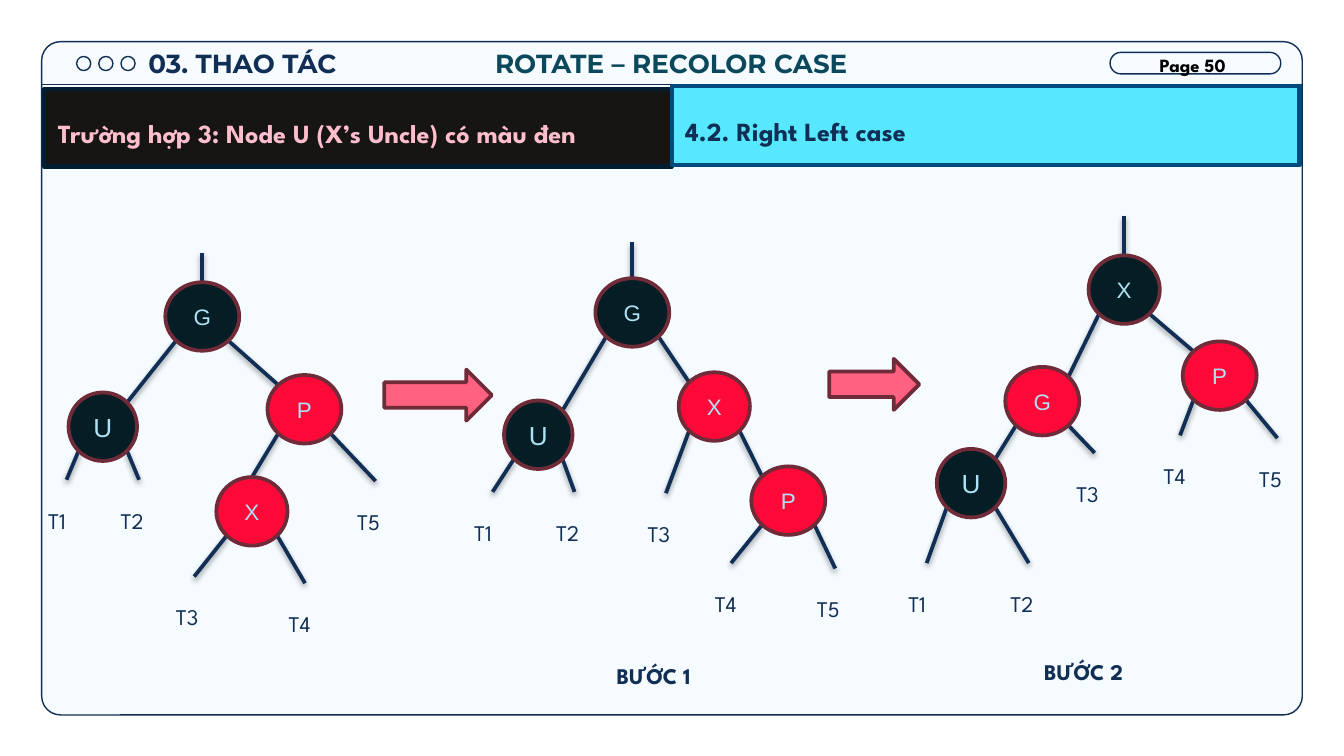
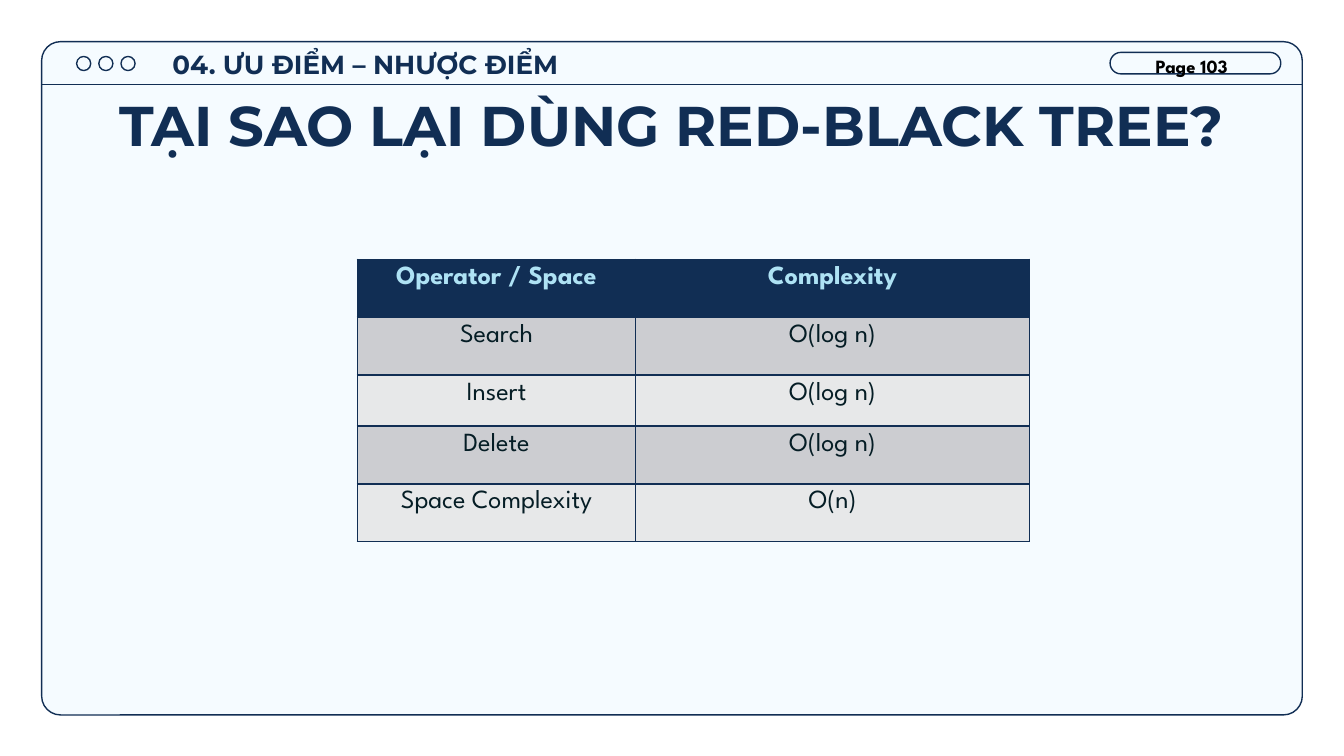
"""Build two slides on red-black trees: a rotation case and a complexity table."""
import math
from dataclasses import dataclass
from typing import Any, NamedTuple, Optional

import lxml.etree
import pptx
import pptx.dml.color
import pptx.enum.shapes
import pptx.enum.text
import pptx.oxml
import pptx.oxml.ns
import pptx.util

RGBColor = pptx.dml.color.RGBColor
SHAPE = pptx.enum.shapes.MSO_SHAPE
ALIGN = pptx.enum.text.PP_ALIGN
ANCHOR = pptx.enum.text.MSO_ANCHOR
Pt = pptx.util.Pt

WIDTH = pptx.util.Inches(10)
HEIGHT = pptx.util.Inches(5.625)
COLUMN = WIDTH / 100
ROW = HEIGHT / 56.25

NAVY = RGBColor(0x11, 0x2E, 0x54)
PALE = RGBColor(0xF5, 0xFB, 0xFF)
WHITE = RGBColor(0xFF, 0xFF, 0xFF)
BLACK = RGBColor(0x00, 0x00, 0x00)
TEAL = RGBColor(0x0C, 0x48, 0x5C)
COAL = RGBColor(0x16, 0x15, 0x14)
COAL_EDGE = RGBColor(0x00, 0x1E, 0x32)
ROSE = RGBColor(0xFF, 0xBE, 0xCB)
CYAN = RGBColor(0x57, 0xE8, 0xFF)
CYAN_EDGE = RGBColor(0x00, 0x4B, 0x7D)
PINK = RGBColor(0xFF, 0x61, 0x80)
MAROON = RGBColor(0x70, 0x2B, 0x38)
NODE_BLACK = RGBColor(0x05, 0x1D, 0x25)
NODE_RED = RGBColor(0xFF, 0x09, 0x39)
SKY = RGBColor(0xAE, 0xE2, 0xF4)
STRIPES = (RGBColor(0xCC, 0xCD, 0xD1), RGBColor(0xE7, 0xE8, 0xE9))

TITLE_FONT = "Montserrat"
BODY_FONT = "League Spartan"
NODE_FONT = "Arial"
NODE_WIDTHS = {"U": 5.1, "G": 5.5, "P": 5.5, "X": 5.3}
NODE_HEIGHT = 5.1
DIAGONAL = math.sqrt(0.5)


class Area(NamedTuple):
    """A rectangle in grid columns and rows."""
    left: float
    top: float
    width: float
    height: float


class Point(NamedTuple):
    """A place in grid columns and rows."""
    x: float
    y: float


@dataclass(frozen=True)
class Leaf:
    """A subtree label hung below a node."""
    text: str
    left: float
    top: float
    width: float = 4.7

    def joint(self, side: int) -> Point:
        """Return where the edge from the parent ends."""
        return Point(self.left + self.width / 2, self.top)


@dataclass(frozen=True)
class Node:
    """A tree node with its left and right children."""
    text: str
    left: float
    top: float
    fill: RGBColor
    children: tuple
    top_joint: bool = False

    def area(self) -> Area:
        """Return the rectangle around the node."""
        return Area(self.left, self.top, NODE_WIDTHS[self.text], NODE_HEIGHT)

    def rim(self, across: float, down: float) -> Point:
        """Return a rim point given as shares of the two radii."""
        half_width, half_height = NODE_WIDTHS[self.text] / 2, NODE_HEIGHT / 2
        return Point(self.left + half_width * (1 + across), self.top + half_height * (1 + down))

    def joint(self, side: int) -> Point:
        """Return where the edge from the parent ends."""
        return self.rim(0, -1) if self.top_joint else self.rim(-side * DIAGONAL, -DIAGONAL)


class Tree(NamedTuple):
    """A root node and the length of the stem above it."""
    root: Node
    stem: float


TREES = (
    Tree(Node("G", 12.3, 21, NODE_BLACK, (
        Node("U", 5.1, 29.2, NODE_BLACK, (Leaf("T1", 2.6, 35.7), Leaf("T2", 8, 35.7))),
        Node("P", 19.9, 27.9, NODE_RED, (
            Node("X", 16.1, 35.5, NODE_RED,
                 (Leaf("T3", 12.1, 42.9), Leaf("T4", 20.5, 43.4, 4.4)), top_joint=True),
            Leaf("T5", 25.6, 35.8))))), 2.2),
    Tree(Node("G", 44.3, 20.7, NODE_BLACK, (
        Node("U", 37.5, 29.8, NODE_BLACK, (Leaf("T1", 34.3, 36.6), Leaf("T2", 40.4, 36.6))),
        Node("X", 50.5, 27.7, NODE_RED, (
            Leaf("T3", 47.2, 36.7),
            Node("P", 55.9, 34.7, NODE_RED,
                 (Leaf("T4", 52.2, 41.9, 4.4), Leaf("T5", 59.8, 42.3))))))), 2.7),
    Tree(Node("X", 81, 19, NODE_BLACK, (
        Node("G", 74.8, 27.3, NODE_RED, (
            Node("U", 69.7, 33.4, NODE_BLACK, (Leaf("T1", 66.6, 41.9), Leaf("T2", 74.2, 41.9))),
            Leaf("T3", 79.1, 33.7))),
        Node("P", 88, 25.4, NODE_RED,
             (Leaf("T4", 85.6, 32.4, 4.4), Leaf("T5", 92.7, 32.6))))), 2.9),
)
ARROWS = (Area(28.6, 27.5, 8, 3.8), Area(61.7, 26.7, 6.7, 3.8))
STEPS = (("BƯỚC 1", Area(44.9, 47.3, 9.9, 5.1)), ("BƯỚC 2", Area(76.7, 47, 9.4, 5.1)))
COMPLEXITY = (
    ("Operator / Space", "Complexity"),
    ("Search", "O(log n)"),
    ("Insert", "O(log n)"),
    ("Delete", "O(log n)"),
    ("Space Complexity", "O(n)"),
)
TABLE_COLUMNS = (20.7, 29.3)
TABLE_ROWS = (4.3, 4.3, 3.8, 4.3, 4.3)


def across(columns: float) -> int:
    """Turn grid columns into a length."""
    return pptx.util.Emu(round(columns * COLUMN))


def down(rows: float) -> int:
    """Turn grid rows into a length."""
    return pptx.util.Emu(round(rows * ROW))


def place(area: Area) -> tuple:
    """Turn a grid area into left, top, width and height."""
    return across(area.left), down(area.top), across(area.width), down(area.height)


def write(frame: Any, text: str, *, size: float, font: str = BODY_FONT, color: RGBColor = NAVY,
          bold: bool = False, align: Any = ALIGN.LEFT, anchor: Any = ANCHOR.TOP,
          spacing: float = 1.0, inset: Optional[float] = 1) -> None:
    """Fill a text frame with one formatted paragraph; inset is in rows."""
    frame.word_wrap = True
    frame.auto_size = pptx.enum.text.MSO_AUTO_SIZE.NONE
    frame.vertical_anchor = anchor
    frame.margin_left = frame.margin_right = across(1)
    frame.margin_top = frame.margin_bottom = down(inset)
    write_paragraph(frame.paragraphs[0], text, size, font, color, bold, align, spacing)


def write_paragraph(para: Any, text: str, size: float, font: str, color: RGBColor,
                    bold: bool, align: Any, spacing: float = 1.0) -> None:
    """Put one formatted span in a paragraph."""
    para.alignment = align
    para.line_spacing = spacing
    para.space_before = Pt(0)
    span = para.add_run()
    span.text = text
    span.font.name, span.font.size, span.font.bold = font, Pt(size), bold
    span.font.color.rgb = color


def paint(shape: Any, fill: Optional[RGBColor], edge: RGBColor, weight: float) -> None:
    """Set the fill and outline of a shape."""
    if fill is None:
        shape.fill.background()
    else:
        shape.fill.solid()
        shape.fill.fore_color.rgb = fill
    shape.line.color.rgb = edge
    shape.line.width = Pt(weight)


def add_shape(page: Any, kind: Any, area: Area, fill: Optional[RGBColor],
              edge: RGBColor, weight: float) -> Any:
    """Draw a flat preset shape."""
    shape = page.shapes.add_shape(kind, *place(area))
    shape.shadow.inherit = False
    paint(shape, fill, edge, weight)
    return shape


def add_text(page: Any, text: str, area: Area, **style: Any) -> None:
    """Draw a text box."""
    write(page.shapes.add_textbox(*place(area)).text_frame, text, **style)


def fill_placeholder(box: Any, text: str, area: Area, **style: Any) -> None:
    """Move a placeholder and write in it."""
    box.left, box.top, box.width, box.height = place(area)
    write(box.text_frame, text, **style)


def add_line(page: Any, start: Point, end: Point, weight: float, shadow: bool = False) -> Any:
    """Draw a straight navy line, with a soft shadow on request."""
    line = page.shapes.add_connector(
        pptx.enum.shapes.MSO_CONNECTOR.STRAIGHT,
        across(start.x), down(start.y), across(end.x), down(end.y))
    line.line.color.rgb = NAVY
    line.line.width = Pt(weight)
    qn = pptx.oxml.ns.qn
    effects = lxml.etree.SubElement(line.element.spPr, qn("a:effectLst"))
    if shadow:
        outer = lxml.etree.SubElement(effects, qn("a:outerShdw"), blurRad=str(Pt(3.1)),
                                      dist=str(Pt(1.6)), dir="5400000", rotWithShape="0")
        color = lxml.etree.SubElement(outer, qn("a:srgbClr"), val=str(BLACK))
        lxml.etree.SubElement(color, qn("a:alpha"), val="38000")
    return line


def add_frame(deck: Any, page: Any) -> None:
    """Draw the window frame and hand it to the slide master."""
    parts = [add_shape(page, SHAPE.ROUNDED_RECTANGLE, Area(3.1, 3.1, 93.8, 50.1), PALE, NAVY, 0.75)]
    parts[0].adjustments[0] = 0.028
    parts += [add_shape(page, SHAPE.OVAL, Area(5.7 + 1.65 * index, 4.2, 1.05, 1.05), None, NAVY, 0.75)
              for index in range(3)]
    pill = add_shape(page, SHAPE.ROUNDED_RECTANGLE, Area(82.6, 3.9, 12.7, 1.6), None, NAVY, 0.75)
    pill.adjustments[0] = 0.5
    parts += [pill, add_line(page, Point(3.1, 6.3), Point(96.9, 6.3), 0.75)]
    for number, part in enumerate(parts, start=20):
        part.element.xpath(".//p:cNvPr")[0].set("id", str(number))
        deck.slide_master.shapes.element.append(part.element)


def add_header(page: Any, heading: str, area: Area, number: str, number_area: Area) -> None:
    """Write the section heading and the page number."""
    add_text(page, heading, area, size=14, font=TITLE_FONT, bold=True, align=ALIGN.CENTER)
    add_text(page, number, number_area, size=10, color=BLACK, bold=True, inset=0.5)


def add_branch(page: Any, item: Any) -> None:
    """Draw a node or leaf with everything below it."""
    if isinstance(item, Leaf):
        add_text(page, item.text, Area(item.left, item.top, item.width, 4.4), size=12, spacing=1.5)
        return
    for side, child in zip((-1, 1), item.children):
        add_line(page, item.rim(side * DIAGONAL, DIAGONAL), child.joint(side), 2, shadow=True)
        add_branch(page, child)
    node = add_shape(page, SHAPE.FLOWCHART_CONNECTOR, item.area(), item.fill, MAROON, 2)
    write(node.text_frame, item.text, size=14 if item.text == "U" else 12, font=NODE_FONT,
          color=SKY, align=ALIGN.CENTER, anchor=ANCHOR.MIDDLE, inset=0.5)


def build_rotation(page: Any) -> None:
    """Fill the slide with the three trees of the right left case."""
    title, subtitle = page.placeholders
    fill_placeholder(title, "ROTATE – RECOLOR CASE", Area(29.5, 3.1, 40.9, 3.2), size=14,
                     font=TITLE_FONT, color=TEAL, bold=True, align=ALIGN.CENTER,
                     anchor=ANCHOR.MIDDLE, inset=0.5)
    band = dict(size=14, bold=True, spacing=1.5)
    fill_placeholder(subtitle, "Trường hợp 3: Node U (X’s Uncle) có màu đen",
                     Area(3.3, 6.6, 46.7, 5.8), color=ROSE, **band)
    paint(subtitle, COAL, COAL_EDGE, 2.25)
    case = add_shape(page, SHAPE.RECTANGLE, Area(50, 6.4, 46.7, 5.9), CYAN, CYAN_EDGE, 2.25)
    write(case.text_frame, "4.2. Right Left case", **band)
    add_header(page, "03. THAO TÁC", Area(9.7, 2.5, 16.7, 4.6), "Page 50", Area(85.3, 3.5, 7.5, 2.7))
    for area in ARROWS:
        add_shape(page, SHAPE.RIGHT_ARROW, area, PINK, MAROON, 2)
    for text, area in STEPS:
        add_text(page, text, area, size=12, bold=True, spacing=1.5)
    for root, stem in TREES:
        crown = root.rim(0, -1)
        add_line(page, crown, Point(crown.x, crown.y - stem), 2, shadow=True)
        add_branch(page, root)


def add_borders(cell: Any) -> None:
    """Give a table cell a thin navy border on each side."""
    names = pptx.oxml.ns.nsdecls("a")
    for index, side in enumerate("LRTB"):
        cell._tc.get_or_add_tcPr().insert(index, pptx.oxml.parse_xml(
            f'<a:ln{side} {names} w="{Pt(1)}"><a:solidFill><a:srgbClr val="{NAVY}"/>'
            f'</a:solidFill></a:ln{side}>'))


def build_complexity(page: Any) -> None:
    """Fill the slide with the complexity table."""
    fill_placeholder(page.shapes.title, "TẠI SAO LẠI DÙNG RED-BLACK TREE?", Area(3.7, 5.7, 92.5, 6.3),
                     size=30, font=TITLE_FONT, bold=True, align=ALIGN.CENTER)
    add_header(page, "04. ƯU ĐIỂM – NHƯỢC ĐIỂM", Area(10.7, 2.6, 33, 4.6),
               "Page 103", Area(85, 3.6, 8.2, 2.7))
    area = Area(26.6, 19.3, sum(TABLE_COLUMNS), sum(TABLE_ROWS))
    table = page.shapes.add_table(len(TABLE_ROWS), len(TABLE_COLUMNS), *place(area)).table
    table.first_row = table.horz_banding = False
    for column, width in zip(table.columns, TABLE_COLUMNS):
        column.width = across(width)
    for index, (row, height, texts) in enumerate(zip(table.rows, TABLE_ROWS, COMPLEXITY)):
        row.height = down(height)
        head = index == 0
        for cell, text in zip(row.cells, texts):
            cell.fill.solid()
            cell.fill.fore_color.rgb = NAVY if head else STRIPES[(index - 1) % 2]
            add_borders(cell)
            write_paragraph(cell.text_frame.paragraphs[0], text, 14, BODY_FONT,
                            SKY if head else NODE_BLACK, head, ALIGN.CENTER)


def main() -> None:
    """Build and save the deck."""
    deck = pptx.Presentation()
    deck.slide_width, deck.slide_height = WIDTH, HEIGHT
    background = deck.slide_master.background.fill
    background.solid()
    background.fore_color.rgb = WHITE
    rotation = deck.slides.add_slide(deck.slide_layouts[0])
    add_frame(deck, rotation)
    build_rotation(rotation)
    build_complexity(deck.slides.add_slide(deck.slide_layouts[5]))
    deck.save("out.pptx")


if __name__ == "__main__":
    main()
